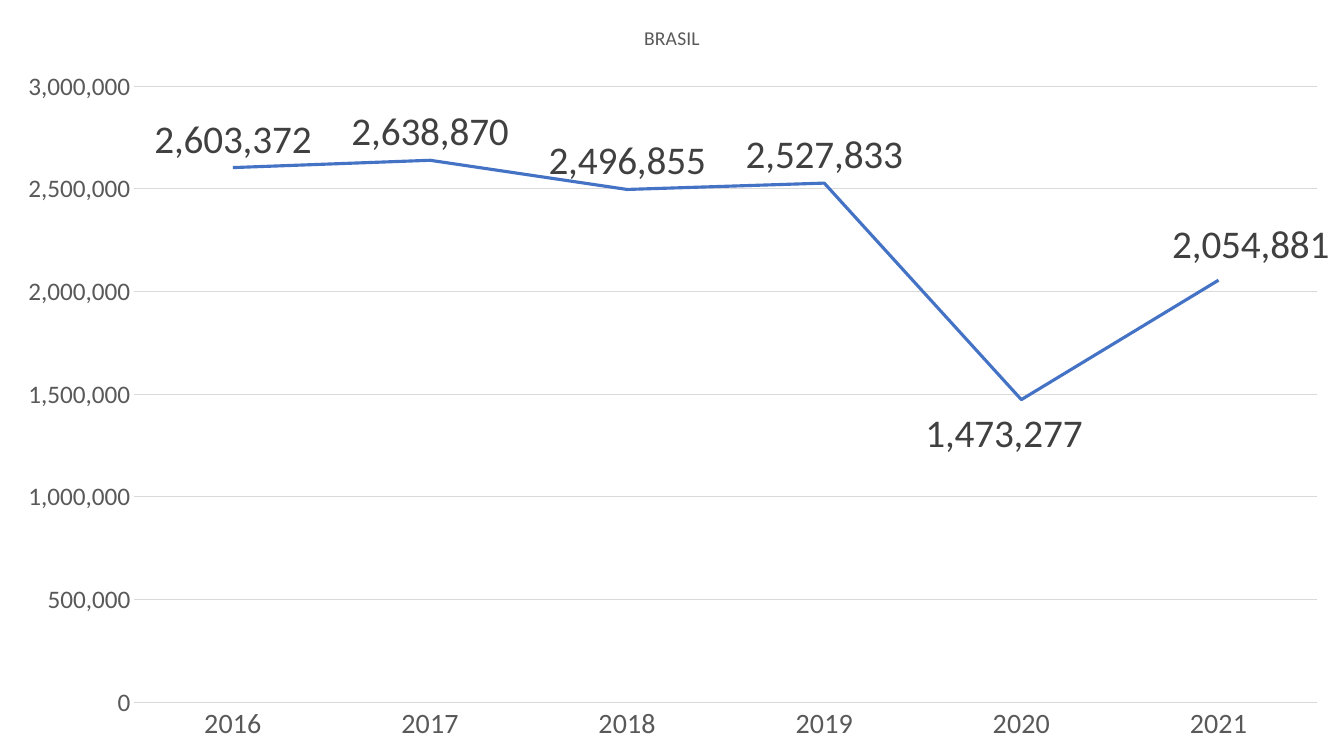
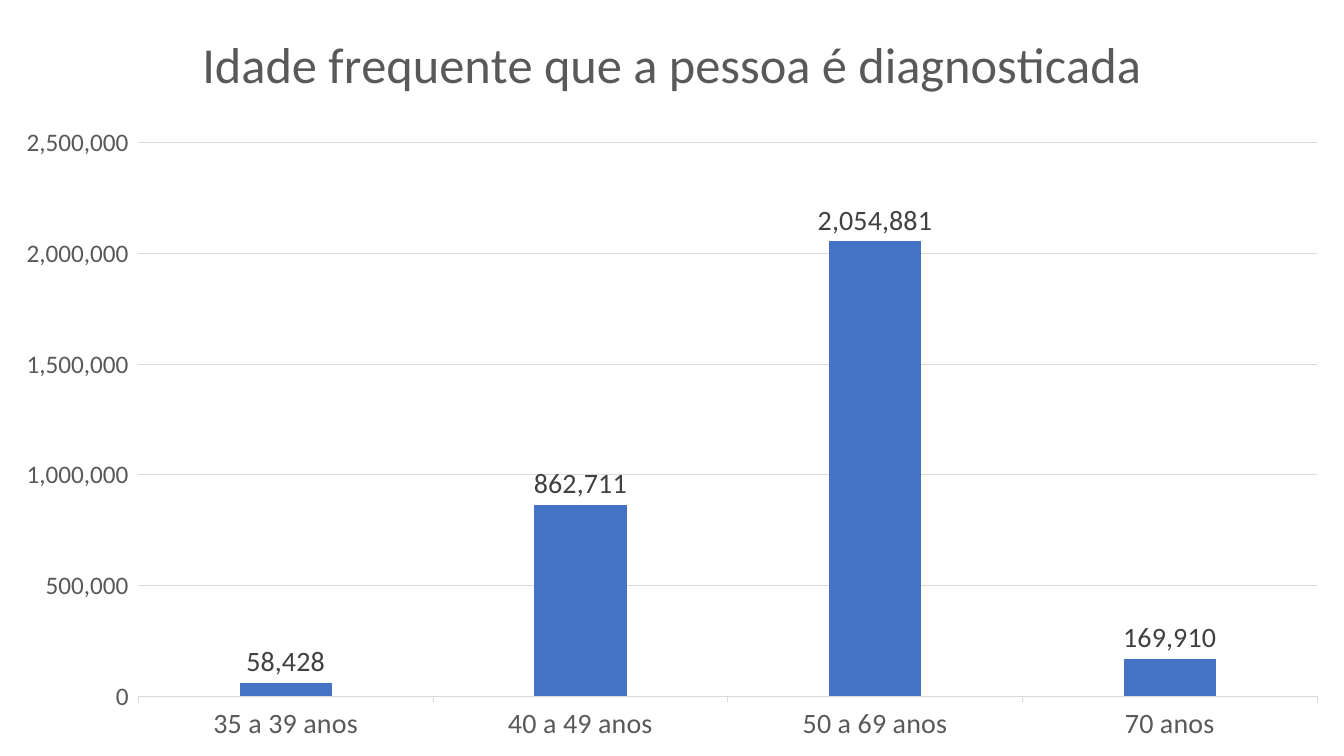
from pptx import Presentation
from pptx.chart.data import CategoryChartData
from pptx.dml.color import RGBColor
from pptx.enum.chart import XL_CHART_TYPE, XL_LABEL_POSITION, XL_TICK_MARK
from pptx.oxml import parse_xml
from pptx.oxml.ns import nsdecls
from pptx.util import Cm, Pt

WIDTH, HEIGHT = Cm(33.87), Cm(19.05)
FONT = "Calibri"
BLUE, GRID, GRAY, DARK = "4472C4", "D9D9D9", "595959", "404040"
NUMBER = "#,##0"


def rgb(value):
    """Turn a hex string into a colour."""
    return RGBColor.from_string(value)


def set_font(font, size, color):
    """Apply the shared typeface with a size and colour."""
    for name, value in {"name": FONT, "size": Pt(size), "bold": False}.items():
        setattr(font, name, value)
    font.color.rgb = rgb(color)


def set_line(line, color, width):
    """Give a line its colour and width in points."""
    line.color.rgb = rgb(color)
    line.width = Pt(width)


def layout_xml(**values):
    """Build a manual chart layout from fractions of the chart size."""
    target = '<c:layoutTarget val="inner"/>' if "w" in values else ""
    modes = '<c:xMode val="edge"/><c:yMode val="edge"/>' if target else ""
    parts = "".join(f'<c:{k} val="{v}"/>' for k, v in values.items())
    return parse_xml(f'<c:layout {nsdecls("c")}><c:manualLayout>{target}{modes}'
                     f'{parts}</c:manualLayout></c:layout>')


def place_plot(chart, x, y, w, h):
    """Fix the inner plot area within the chart."""
    area = chart.element.chart.plotArea
    for old in area.xpath("c:layout"):
        area.remove(old)
    area.insert(0, layout_xml(x=x, y=y, w=w, h=h))


def style_axes(chart, tick):
    """Format the category and value axes."""
    for axis, size in ((chart.category_axis, 20), (chart.value_axis, 18)):
        axis.major_tick_mark = tick
        set_font(axis.tick_labels.font, size, GRAY)
    set_line(chart.category_axis.format.line, GRID, 0.75)
    axis = chart.value_axis
    axis.format.line.fill.background()
    set_line(axis.major_gridlines.format.line, GRID, 0.75)
    axis.tick_labels.number_format = NUMBER
    axis.tick_labels.number_format_is_linked = False


def style_labels(series, size, position):
    """Show the values of a series."""
    labels = series.data_labels
    values = {"show_value": True, "position": position,
              "number_format": NUMBER, "number_format_is_linked": False}
    for name, value in values.items():
        setattr(labels, name, value)
    set_font(labels.font, size, DARK)


def move_label(chart, series, index, size, position, x, y):
    """Shift the label of one point away from its usual place."""
    label = series.points[index].data_label
    set_font(label.font, size, DARK)
    label.position = position
    idx = chart.element.xpath(f".//c:dLbl/c:idx[@val='{index}']")[0]
    idx.addnext(layout_xml(x=x, y=y))


def add_chart(prs, kind, title, title_size, name, values, tick, plot):
    """Add a slide filled by one single-series chart."""
    s = prs.slides.add_slide(prs.slide_layouts[6])
    data = CategoryChartData(number_format=NUMBER)
    data.categories = list(values)
    data.add_series(name, list(values.values()))
    chart = s.shapes.add_chart(kind, 0, 0, WIDTH, HEIGHT, data).chart
    set_font(chart.font, 10, "000000")
    chart.has_legend = False
    tf = chart.chart_title.text_frame
    r = tf.paragraphs[0].add_run()
    r.text = title
    set_font(r.font, title_size, GRAY)
    style_axes(chart, tick)
    place_plot(chart, *plot)
    chart.plots[0].vary_by_categories = False
    return chart


def add_year_slide(prs):
    """Add the line chart of totals by year."""
    values = {"2016": 2603372, "2017": 2638870, "2018": 2496855,
              "2019": 2527833, "2020": 1473277, "2021": 2054881}
    chart = add_chart(prs, XL_CHART_TYPE.LINE, "BRASIL", 14, "BRASIL", values,
                      XL_TICK_MARK.NONE, (0.1, 0.114, 0.88, 0.815))
    series = chart.plots[0].series[0]
    series.smooth = False
    set_line(series.format.line, BLUE, 2.25)
    style_labels(series, 28, XL_LABEL_POSITION.ABOVE)
    move_label(chart, series, 4, 28, XL_LABEL_POSITION.BELOW, -0.013, 0.01)
    move_label(chart, series, 5, 28, XL_LABEL_POSITION.ABOVE, 0.024, -0.01)


def add_age_slide(prs):
    """Add the column chart of diagnoses by age."""
    values = {"35 a 39 anos": 58428, "40 a 49 anos": 862711,
              "50 a 69 anos": 2054881, "70 anos": 169910}
    chart = add_chart(prs, XL_CHART_TYPE.COLUMN_CLUSTERED,
                      "Idade frequente que a pessoa é diagnosticada", 36,
                      "Series 1", values, XL_TICK_MARK.OUTSIDE,
                      (0.103, 0.189, 0.877, 0.732))
    plot = chart.plots[0]
    plot.gap_width, plot.overlap = 219, -27
    series = plot.series[0]
    series.format.fill.solid()
    series.format.fill.fore_color.rgb = rgb(BLUE)
    style_labels(series, 20, XL_LABEL_POSITION.OUTSIDE_END)


def main():
    """Build and save the presentation."""
    prs = Presentation()
    prs.slide_width, prs.slide_height = WIDTH, HEIGHT
    add_year_slide(prs)
    add_age_slide(prs)
    prs.save("out.pptx")


main()
